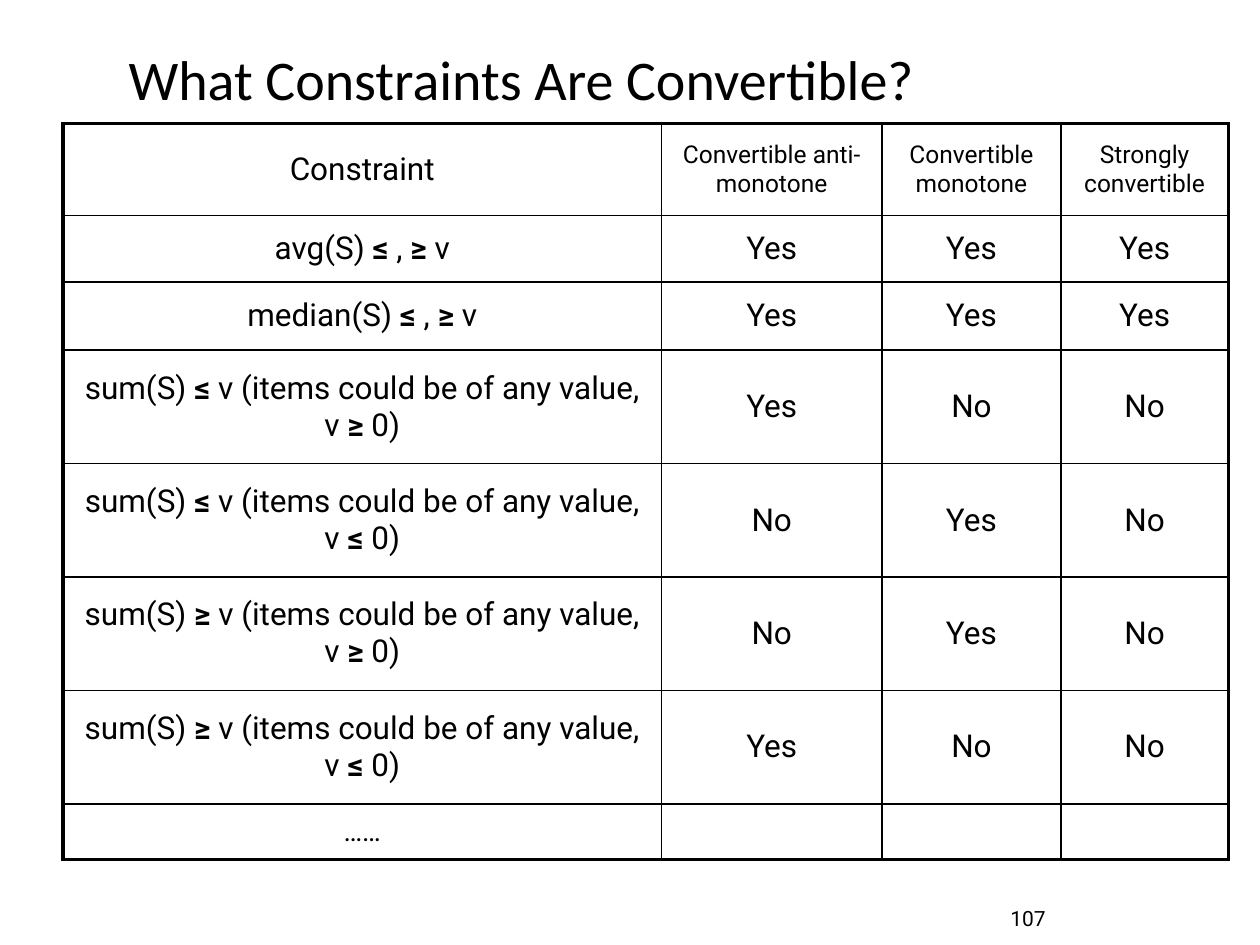
from dataclasses import dataclass
from itertools import groupby

import pptx
import pptx.dml.color
import pptx.enum.text
import pptx.oxml.ns
import pptx.util
from lxml import etree
from pptx.util import Inches


@dataclass(frozen=True)
class Theme:
    ink: str = "000000"
    title_font: str = "Calibri"
    body_font: str = "Roboto"
    title_size: float = 32
    body_size: float = 18
    ellipsis_size: float = 16
    heading_size: float = 14
    number_size: float = 12
    outer_line: float = 2.25
    inner_line: float = 1


THEME = Theme()
TITLE_BOX = (0.92, 0.33, 8.02, 0.65)
TABLE_BOX = (0.5, 0.98, 9.25, 5.84)
NUMBER_BOX = (7.92, 7.08, 2.08, 0.42)
COLUMN_WIDTHS = [4.75, 1.75, 1.42, 1.33]
ROW_HEIGHTS = [0.73, 0.53, 0.54, 0.9, 0.9, 0.9, 0.9, 0.44]
CONSTRAINTS = [
    ["Constraint", "Convertible anti-monotone", "Convertible monotone", "Strongly convertible"],
    ["avg(S) ≤ , ≥ v", "Yes", "Yes", "Yes"],
    ["median(S) ≤ , ≥ v", "Yes", "Yes", "Yes"],
    ["sum(S) ≤ v (items could be of any value, v ≥ 0)", "Yes", "No", "No"],
    ["sum(S) ≤ v (items could be of any value, v ≤ 0)", "No", "Yes", "No"],
    ["sum(S) ≥ v (items could be of any value, v ≥ 0)", "No", "Yes", "No"],
    ["sum(S) ≥ v (items could be of any value, v ≤ 0)", "Yes", "No", "No"],
    ["……", "", "", ""],
]


def format_font(font, name, size):
    font.name = name
    font.size = pptx.util.Pt(size)
    font.color.rgb = pptx.dml.color.RGBColor.from_string(THEME.ink)


def place_title(slide, box):
    title = slide.shapes.title
    title.left, title.top, title.width, title.height = map(Inches, box)
    frame = title.text_frame
    frame.text = "What Constraints Are Convertible?"
    frame.auto_size = pptx.enum.text.MSO_AUTO_SIZE.NONE
    frame.vertical_anchor = pptx.enum.text.MSO_ANCHOR.MIDDLE
    line = frame.paragraphs[0]
    line.alignment = pptx.enum.text.PP_ALIGN.LEFT
    line.line_spacing = 0.9
    format_font(line.runs[0].font, THEME.title_font, THEME.title_size)


def draw_borders(cell, widths):
    properties = cell._tc.get_or_add_tcPr()
    qn = pptx.oxml.ns.qn
    for side, width in widths.items():
        border = etree.SubElement(properties, qn(f"a:ln{side}"), w=str(pptx.util.Pt(width)))
        fill = etree.SubElement(border, qn("a:solidFill"))
        etree.SubElement(fill, qn("a:srgbClr"), val=THEME.ink)


def add_space_before(paragraph, percent):
    qn = pptx.oxml.ns.qn
    spacing = etree.SubElement(paragraph._p.get_or_add_pPr(), qn("a:spcBef"))
    etree.SubElement(spacing, qn("a:spcPct"), val=str(percent * 1000))


def write_cell(cell, text, size):
    cell.vertical_anchor = pptx.enum.text.MSO_ANCHOR.MIDDLE
    paragraph = cell.text_frame.paragraphs[0]
    paragraph.alignment = pptx.enum.text.PP_ALIGN.CENTER
    add_space_before(paragraph, 20)
    for is_operator, letters in groupby(text, key=lambda letter: letter in "≤≥"):
        run = paragraph.add_run()
        run.text = "".join(letters)
        run.font.bold = is_operator
        format_font(run.font, THEME.body_font, size)


def text_size(row, column):
    if row == 0 and column > 0:
        return THEME.heading_size
    if row == len(CONSTRAINTS) - 1:
        return THEME.ellipsis_size
    return THEME.body_size


def place_constraints(slide, box):
    last_row, last_column = len(ROW_HEIGHTS) - 1, len(COLUMN_WIDTHS) - 1
    table = slide.shapes.add_table(last_row + 1, last_column + 1, *map(Inches, box)).table
    table.first_row = table.horz_banding = False
    for column, width in zip(table.columns, COLUMN_WIDTHS):
        column.width = Inches(width)
    for row, height in zip(table.rows, ROW_HEIGHTS):
        row.height = Inches(height)
    for row, answers in enumerate(CONSTRAINTS):
        for column, answer in enumerate(answers):
            cell = table.cell(row, column)
            edges = {"L": column == 0, "R": column == last_column,
                     "T": row == 0, "B": row == last_row}
            draw_borders(cell, {side: THEME.outer_line if outer else THEME.inner_line
                                for side, outer in edges.items()})
            cell.fill.background()
            write_cell(cell, answer, text_size(row, column))


def place_number(slide, box):
    frame = slide.shapes.add_textbox(*map(Inches, box)).text_frame
    frame.word_wrap = True
    frame.vertical_anchor = pptx.enum.text.MSO_ANCHOR.MIDDLE
    frame.text = "107"
    format_font(frame.paragraphs[0].runs[0].font, THEME.body_font, THEME.number_size)


def main():
    deck = pptx.Presentation()
    deck.slide_width, deck.slide_height = Inches(10), Inches(7.5)
    slide = deck.slides.add_slide(deck.slide_layouts.get_by_name("Title Only"))
    place_number(slide, NUMBER_BOX)
    place_title(slide, TITLE_BOX)
    place_constraints(slide, TABLE_BOX)
    deck.save("out.pptx")


if __name__ == "__main__":
    main()
